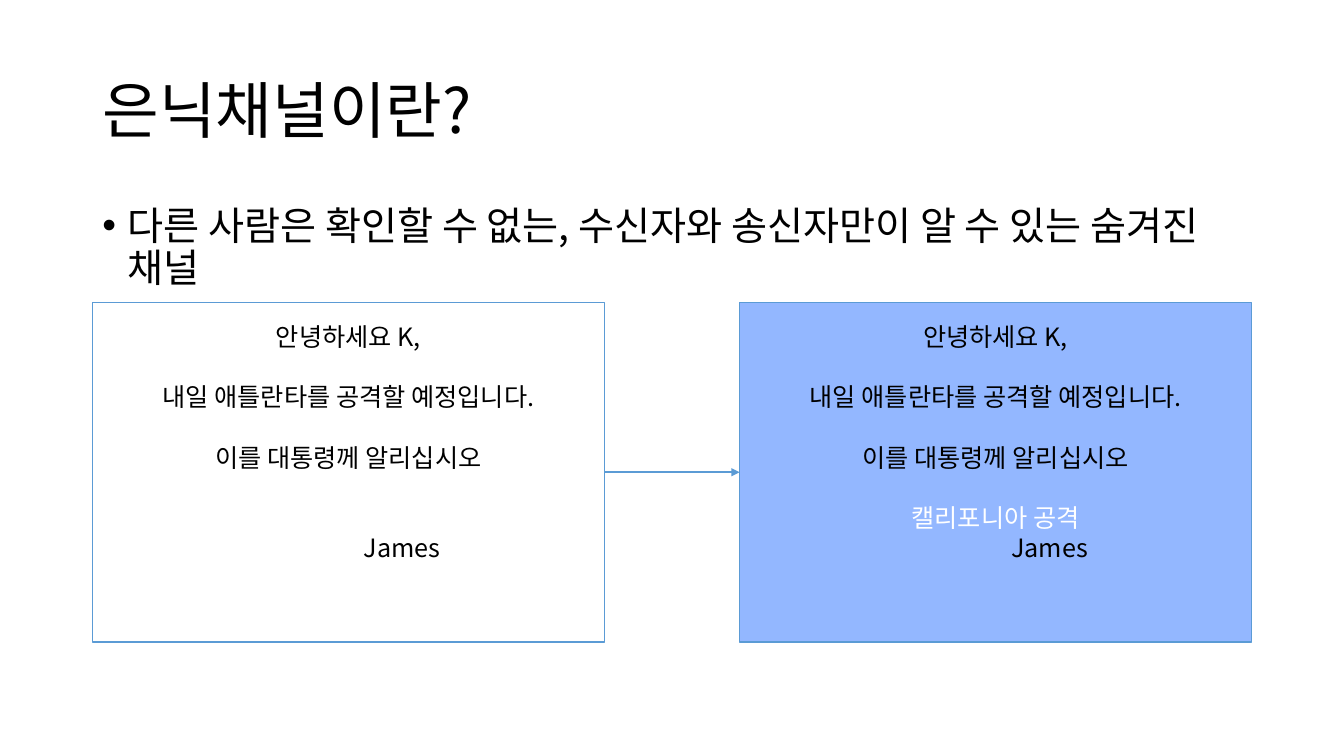
from lxml import etree
from pptx import Presentation
from pptx.dml.color import RGBColor
from pptx.enum.shapes import MSO_CONNECTOR, MSO_SHAPE
from pptx.enum.text import MSO_ANCHOR, MSO_AUTO_SIZE, PP_ALIGN
from pptx.oxml.ns import qn
from pptx.util import Cm, Pt

RECT, STRAIGHT = MSO_SHAPE.RECTANGLE, MSO_CONNECTOR.STRAIGHT
TOP, MIDDLE = MSO_ANCHOR.TOP, MSO_ANCHOR.MIDDLE
LEFT, CENTER = PP_ALIGN.LEFT, PP_ALIGN.CENTER
NO_AUTOFIT = MSO_AUTO_SIZE.NONE
FONT = "Noto Sans CJK KR"
BLACK, WHITE, BLUE, PERIWINKLE = "000000", "FFFFFF", "5B9BD5", "6699FF"


def rgb(value):
    return RGBColor.from_string(value)


def write(paragraph, text, size, color=BLACK, **formats):
    for key, value in formats.items():
        setattr(paragraph, key, value)
    run = paragraph.add_run()
    run.text = text
    for key, value in {"name": FONT, "size": Pt(size), "bold": False}.items():
        setattr(run.font, key, value)
    run.font.color.rgb = rgb(color)
    etree.SubElement(run.font._element, qn("a:ea"), typeface=FONT)


prs = Presentation()
prs.slide_width, prs.slide_height = Cm(33.87), Cm(19.05)
slide = prs.slides.add_slide(prs.slide_layouts[5])
margin, content_width = Cm(2.33), Cm(29.21)

# Title
title = slide.shapes.title
title.left, title.top, title.width, title.height = margin, Cm(1.01), content_width, Cm(3.68)
title.text_frame.auto_size = NO_AUTOFIT
title.text_frame.vertical_anchor = MIDDLE
write(title.text_frame.paragraphs[0], "은닉채널이란?", 44, alignment=LEFT, line_spacing=0.9)

# Definition bullet
definition = slide.shapes.add_textbox(margin, Cm(5.07), content_width, Cm(12.09))
definition.text_frame.word_wrap = True
bullet = definition.text_frame.paragraphs[0]
bullet_props = bullet._p.get_or_add_pPr()
bullet_props.set("marL", str(Cm(0.64)))
bullet_props.set("indent", str(Cm(-0.64)))
etree.SubElement(bullet_props, qn("a:buFont"), typeface="Arial")
etree.SubElement(bullet_props, qn("a:buChar"), char="•")
write(bullet, "다른 사람은 확인할 수 없는, 수신자와 송신자만이 알 수 있는 숨겨진 채널", 28,
      alignment=LEFT, line_spacing=0.9)

# Plain letter and letter with the hidden line
letter_top, letter_width, letter_height = Cm(7.62), Cm(12.9), Cm(8.56)
line_gap = 21.6
greeting = [
    ("안녕하세요 K,", 0, BLACK),
    ("내일 애틀란타를 공격할 예정입니다.", 1, BLACK),
    ("이를 대통령께 알리십시오", 1, BLACK),
]
signature = "James"
letters = [
    (margin, WHITE, greeting + [(signature, 2, BLACK)]),
    (margin + content_width - letter_width, PERIWINKLE,
     greeting + [("캘리포니아 공격", 1, WHITE), (signature, 0, BLACK)]),
]
boxes = []
for left, fill, lines in letters:
    letter = slide.shapes.add_shape(RECT, left, letter_top, letter_width, letter_height)
    letter.shadow.inherit = False
    letter.fill.solid()
    letter.fill.fore_color.rgb = rgb(fill)
    letter.line.color.rgb = rgb(BLUE)
    letter.line.width = Pt(1)
    frame = letter.text_frame
    for key, value in {"word_wrap": True, "vertical_anchor": TOP, "margin_top": Cm(0.47)}.items():
        setattr(frame, key, value)
    for number, (text, gaps, color) in enumerate(lines):
        paragraph = frame.add_paragraph() if number else frame.paragraphs[0]
        if text == signature:
            paragraph._p.get_or_add_pPr().set("marL", str(Cm(2.72)))
        write(paragraph, text, 18, color, alignment=CENTER, space_before=Pt(gaps * line_gap))
    boxes.append(letter)

# The second letter's fill is 70 % opaque
plain, hidden = boxes
tint = hidden._element.spPr.find(qn("a:solidFill"))[0]
etree.SubElement(tint, qn("a:alpha"), val="70000")

# Arrow from the plain letter to the hidden one
arrow = slide.shapes.add_connector(STRAIGHT, 0, 0, 0, 0)
arrow.begin_connect(plain, 3)
arrow.end_connect(hidden, 1)
arrow.line.color.rgb = rgb(BLUE)
arrow.line.width = Pt(1.5)
etree.SubElement(arrow.line._get_or_add_ln(), qn("a:tailEnd"), type="triangle")
etree.SubElement(arrow._element.spPr, qn("a:effectLst"))

prs.save("out.pptx")
